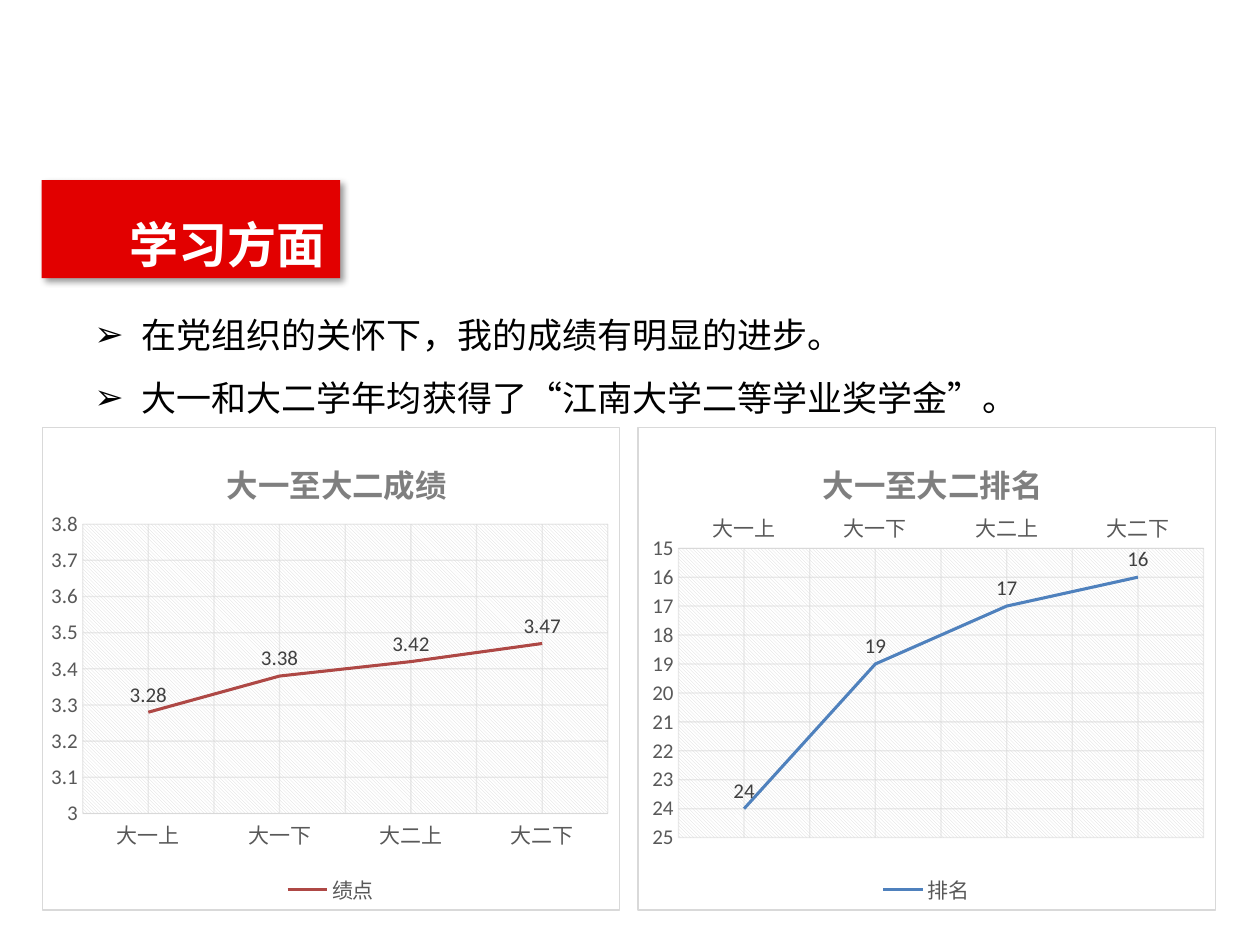
"""Build the study results slide with two line charts."""
from copy import deepcopy
from lxml import etree
from pptx import Presentation
from pptx.chart.data import CategoryChartData
from pptx.dml.color import RGBColor
from pptx.enum.chart import XL_CHART_TYPE, XL_LABEL_POSITION, XL_LEGEND_POSITION, XL_TICK_MARK
from pptx.enum.shapes import MSO_SHAPE
from pptx.enum.text import MSO_ANCHOR, MSO_AUTO_SIZE, PP_ALIGN
from pptx.oxml import parse_xml
from pptx.oxml.ns import nsdecls, qn
from pptx.util import Cm, Pt

LINE = XL_CHART_TYPE.LINE
ABOVE = XL_LABEL_POSITION.ABOVE
BOTTOM = XL_LEGEND_POSITION.BOTTOM
NO_TICK = XL_TICK_MARK.NONE
RECT = MSO_SHAPE.RECTANGLE
LEFT = PP_ALIGN.LEFT
TOP = MSO_ANCHOR.TOP
NO_FIT = MSO_AUTO_SIZE.NONE

RED = RGBColor(0xE2, 0x00, 0x00)
WHITE = RGBColor(0xFF, 0xFF, 0xFF)
BLACK = RGBColor(0x00, 0x00, 0x00)
GREY = RGBColor(0x59, 0x59, 0x59)
TITLE_GREY = RGBColor(0x7F, 0x7F, 0x7F)
LABEL_GREY = RGBColor(0x40, 0x40, 0x40)
RULE_GREY = RGBColor(0xD9, 0xD9, 0xD9)
BRICK = RGBColor(0xAE, 0x48, 0x45)
BLUE = RGBColor(0x4F, 0x81, 0xBD)
CJK = "Noto Sans CJK SC"
LATIN = "Calibri"


def set_font(font, name, size, color, bold=False):
    font.name, font.size, font.bold = name, Pt(size), bold
    font.color.rgb = color
    latin = font._rPr.find(qn("a:latin"))
    latin.addnext(parse_xml(f'<a:ea {nsdecls("a")} typeface="{CJK}"/>'))


def set_layout(element, index, target="", **fractions):
    for old in element.findall(qn("c:layout")):
        element.remove(old)
    parts = target + '<c:xMode val="edge"/><c:yMode val="edge"/>'
    parts += "".join(f'<c:{key} val="{value}"/>' for key, value in fractions.items())
    element.insert(index, parse_xml(
        f'<c:layout {nsdecls("c")}><c:manualLayout>{parts}</c:manualLayout></c:layout>'))


prs = Presentation()
prs.slide_width, prs.slide_height = Cm(25.4), Cm(19.05)
s = prs.slides.add_slide(prs.slide_layouts[1])
title, body = s.shapes.title, s.placeholders[1]

banner = s.shapes.add_shape(RECT, Cm(0.84), Cm(3.63), Cm(6.02), Cm(1.98))
banner.fill.solid()
banner.fill.fore_color.rgb = RED
banner.line.fill.background()
banner.shadow.inherit = False
banner._element.spPr.find(qn("a:effectLst")).append(parse_xml(
    f'<a:outerShdw {nsdecls("a")} blurRad="50800" dist="38100" dir="2700000" algn="tl">'
    '<a:srgbClr val="000000"><a:alpha val="40000"/></a:srgbClr></a:outerShdw>'))
title._element.addprevious(banner._element)

title.left, title.top, title.width, title.height = Cm(2.36), Cm(4.19), Cm(4.5), Cm(1.45)
tf = title.text_frame
tf.text = "学习方面"
tf.word_wrap, tf.auto_size, tf.vertical_anchor = False, NO_FIT, TOP
p = tf.paragraphs[0]
p.alignment = LEFT
set_font(p.font, CJK, 28, WHITE, True)

body.left, body.top, body.width, body.height = Cm(1.65), Cm(5.77), Cm(21.74), Cm(2.82)
tf = body.text_frame
tf.text = "在党组织的关怀下，我的成绩有明显的进步。\n大一和大二学年均获得了“江南大学二等学业奖学金”。"
tf.word_wrap, tf.auto_size, tf.vertical_anchor = True, NO_FIT, TOP
for p in tf.paragraphs:
    p.line_spacing, p.space_before = 1.5, Pt(0)
    set_font(p.font, CJK, 20, BLACK)
    pPr = p._p.get_or_add_pPr()
    pPr.set("marL", str(Cm(0.95)))
    pPr.set("indent", str(Cm(-0.95)))
    pPr.find(qn("a:defRPr")).addprevious(parse_xml(f'<a:buChar {nsdecls("a")} char="➢"/>'))

charts = [
    ("大一至大二成绩", "绩点", (3.28, 3.38, 3.42, 3.47), BRICK, 0.84,
     (3, 3.8, 0.1), False, dict(x=0.07, y=0.2, w=0.91, h=0.6)),
    ("大一至大二排名", "排名", (24, 19, 17, 16), BLUE, 12.85,
     (15, 25, 1), True, dict(x=0.07, y=0.25, w=0.91, h=0.6)),
]
for heading, name, values, color, left, scale, reverse, plot_box in charts:
    data = CategoryChartData()
    data.categories = ["大一上", "大一下", "大二上", "大二下"]
    data.add_series(name, values)
    chart = s.shapes.add_chart(LINE, Cm(left), Cm(8.61), Cm(11.66), Cm(9.75), data).chart
    set_font(chart.font, LATIN, 12, GREY)

    chart.has_title = True
    tf = chart.chart_title.text_frame
    tf.text = heading
    set_font(tf.paragraphs[0].runs[0].font, CJK, 18, TITLE_GREY, True)
    set_layout(chart.chart_title._element, 1, x=0.31, y=0.05)

    chart.has_legend = True
    chart.legend.position = BOTTOM
    chart.legend.include_in_layout = False
    set_font(chart.legend.font, LATIN, 12, GREY)

    cat_axis, val_axis = chart.category_axis, chart.value_axis
    for axis in (cat_axis, val_axis):
        axis.has_major_gridlines = True
        axis.major_tick_mark = axis.minor_tick_mark = NO_TICK
        set_font(axis.tick_labels.font, LATIN, 12, GREY)
        grid_line = axis.major_gridlines.format.line
        grid_line.color.rgb = RULE_GREY
        grid_line.width = Pt(0.75)
        major = axis._element.find(qn("c:majorGridlines"))
        for rgb in major.iter(qn("a:srgbClr")):
            etree.SubElement(rgb, qn("a:alpha")).set("val", "54000")
    cat_axis.has_minor_gridlines = True
    major = cat_axis._element.find(qn("c:majorGridlines"))
    minor = cat_axis._element.find(qn("c:minorGridlines"))
    minor.append(deepcopy(major[0]))
    cat_axis.format.line.color.rgb = RULE_GREY
    cat_axis.format.line.width = Pt(0.75)
    val_axis.format.line.fill.background()
    val_axis.minimum_scale, val_axis.maximum_scale, val_axis.major_unit = scale
    val_axis.reverse_order = reverse

    plot = chart.plots[0]
    plot.vary_by_categories = False
    series = plot.series[0]
    series.smooth = False
    series.format.line.color.rgb = color
    series.format.line.width = Pt(1.75)
    labels = series.data_labels
    labels.show_value, labels.position = True, ABOVE
    set_font(labels.font, LATIN, 12, LABEL_GREY)

    space = chart._chartSpace
    space.chart.addnext(parse_xml(
        f'<c:spPr {nsdecls("c", "a")}><a:solidFill><a:srgbClr val="{WHITE}"/></a:solidFill>'
        f'<a:ln w="9525"><a:solidFill><a:srgbClr val="{RULE_GREY}"/></a:solidFill></a:ln></c:spPr>'))
    plot_area = space.chart.plotArea
    set_layout(plot_area, 0, '<c:layoutTarget val="inner"/>', **plot_box)
    plot_area.append(parse_xml(
        f'<c:spPr {nsdecls("c", "a")}><a:pattFill prst="ltDnDiag">'
        f'<a:fgClr><a:srgbClr val="{RULE_GREY}"/></a:fgClr>'
        f'<a:bgClr><a:srgbClr val="{WHITE}"/></a:bgClr></a:pattFill><a:ln><a:noFill/></a:ln></c:spPr>'))

prs.save("out.pptx")
